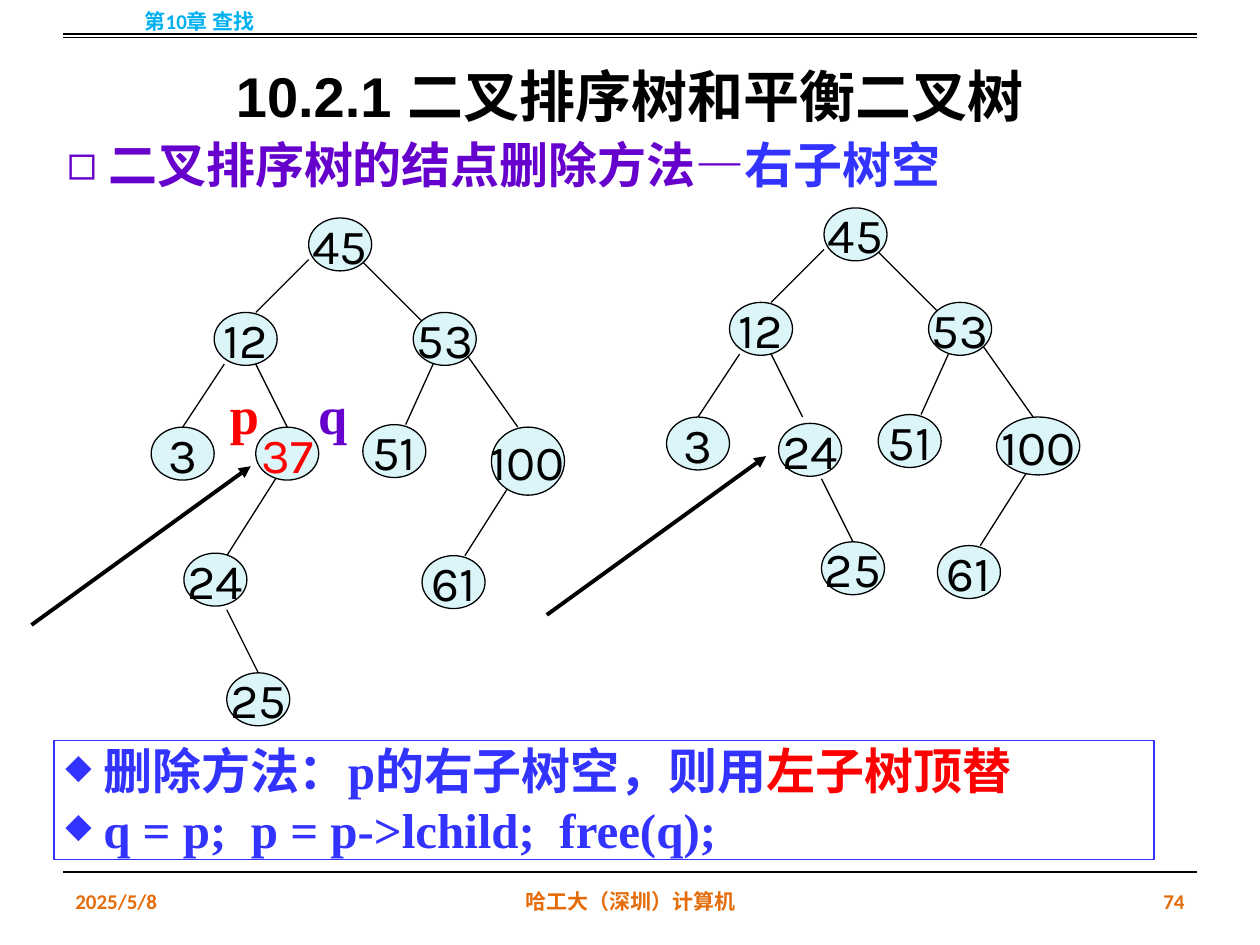
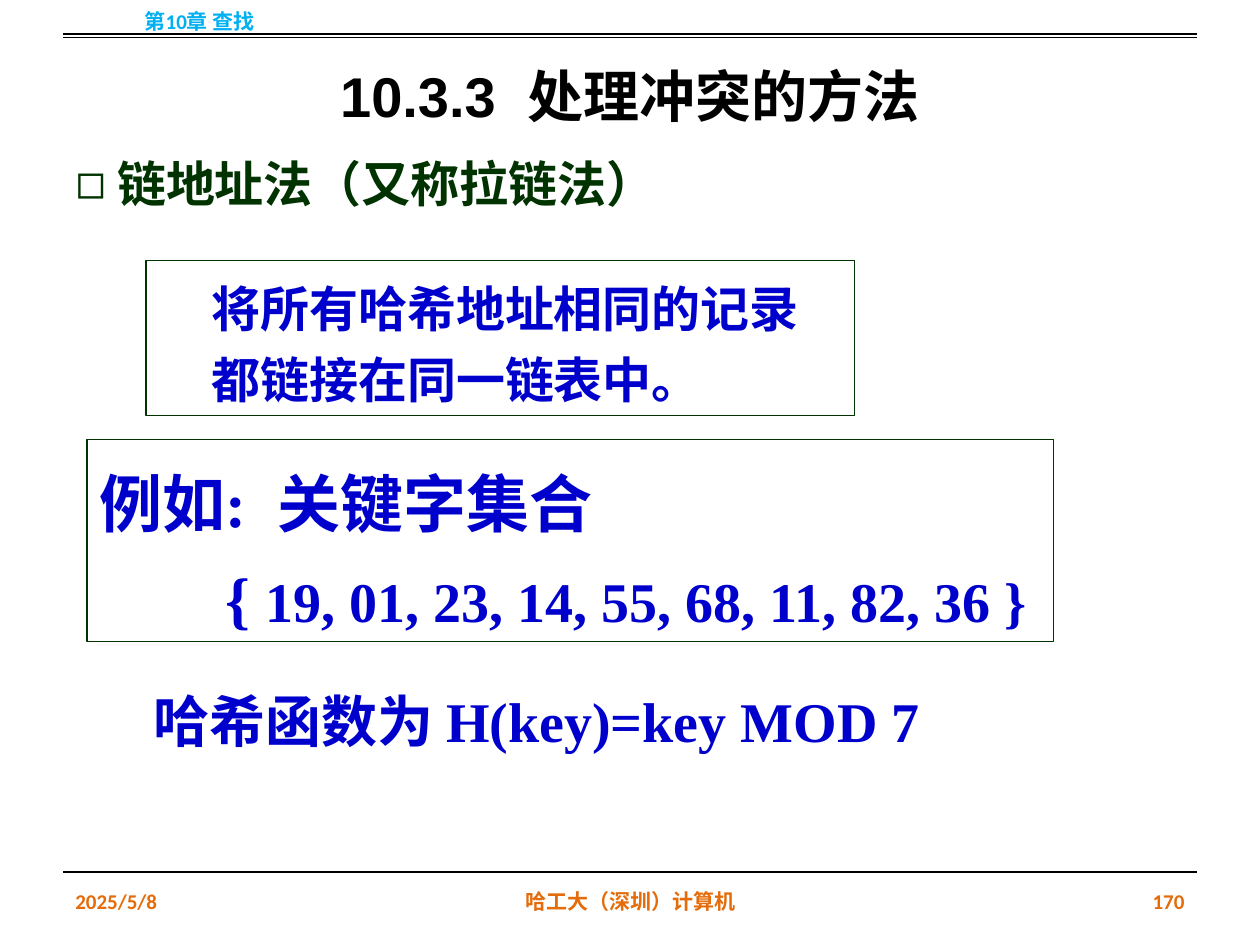
from lxml import etree
from pptx import Presentation
from pptx.dml.color import RGBColor
from pptx.enum.shapes import MSO_CONNECTOR, MSO_SHAPE
from pptx.enum.text import MSO_ANCHOR, MSO_AUTO_SIZE, PP_ALIGN
from pptx.oxml.ns import qn
from pptx.util import Inches, Pt

LEFT, CENTER, RIGHT = PP_ALIGN.LEFT, PP_ALIGN.CENTER, PP_ALIGN.RIGHT
TOP, MIDDLE = MSO_ANCHOR.TOP, MSO_ANCHOR.MIDDLE
OVAL, RECT = MSO_SHAPE.OVAL, MSO_SHAPE.RECTANGLE

BLACK, RED, BLUE, PURPLE = "000000", "FF0000", "3333FF", "6600CC"
NAVY, GREEN, ORANGE, SKY, PALE = "0000CC", "003300", "E46C0A", "00B0F0", "DBF5F9"
SERIF, SANS, SMALL, NODE = "Times New Roman", "Arial", "Calibri", "Karla"

# Bullets: character, percent of the text size, hanging width
SQUARE = ("◻", 100, 0.33)
DIAMOND = ("◆", 70, 0.3)

# Shared frame: rule heights, then header and footer texts
RULES = [0.27, 0.3, 6.92]
HEADER = ("第10章 查找", (0, -0.03, 3.17, 0.4), CENTER, SKY)
FOOTERS = [
    ("2025/5/8", (0.5, 6.95, 2.33, 0.4), LEFT, ORANGE),
    ("哈工大（深圳）计算机", (3.42, 6.95, 3.17, 0.4), CENTER, ORANGE),
]
NUMBER_AT = (7.17, 6.95, 2.33, 0.4)

# Deletion slide
DELETE_TITLE = "10.2.1 二叉排序树和平衡二叉树"
DELETE_TOPIC = [["二叉排序树的结点删除方法—", ("右子树空", {"color": BLUE})]]
DELETE_STEPS = [
    ["删除方法：p的右子树空，则用", ("左子树顶替", {"color": RED})],
    ["q = p;  p = p->lchild;  free(q);"],
]
POINTERS = [("p", 1.72, RED), ("q", 2.42, PURPLE)]

# Both trees share these parts; positions are those of the tree before deletion
NODE_SIZE = (0.5, 0.42)
SHARED_NODES = [
    ("45", 2.45, 1.73), ("12", 1.7, 2.48), ("53", 3.28, 2.48),
    ("3", 1.2, 3.39), ("51", 2.88, 3.37), ("61", 3.35, 4.41),
]
SHARED_EDGES = [
    (2.45, 2.06, 2.03, 2.48), (2.86, 2.06, 3.36, 2.56),
    (1.78, 2.89, 1.45, 3.39), (2.03, 2.89, 2.28, 3.39),
    (3.7, 2.81, 4.11, 3.39), (3.46, 2.84, 3.22, 3.37),
    (4.09, 3.78, 3.69, 4.41),
]
ARROW = (0.25, 4.96, 1.99, 3.7)
TREES = [
    {
        "shift": (0, 0),
        "nodes": [("37", 2.03, 3.39), ("24", 1.46, 4.39), ("25", 1.8, 5.34),
                  ("100", 3.9, 3.39, 0.58, 0.54)],
        "edges": [(2.2, 3.78, 1.8, 4.41), (1.8, 4.84, 2.05, 5.34)],
    },
    {
        "shift": (4.09, -0.08),
        "nodes": [("24", 2.09, 3.44), ("25", 2.43, 4.38),
                  ("100", 3.82, 3.39, 0.66, 0.46)],
        "edges": [(2.43, 3.88, 2.68, 4.38)],
    },
]
DELETED = "37"

# Chaining slide
CHAIN_TITLE = "10.3.3  处理冲突的方法"
CHAIN_TOPIC = [["链地址法（又称拉链法）"]]
CHAIN_RULE = [["将所有哈希地址相同的记录"], ["都链接在同一链表中。"]]
KEY_SET = [
    ["例如:  关键字集合"],
    ["{ ", ("19, 01, 23, 14, 55, 68, 11, 82, 36 }", {"size": 32})],
]
HASH_FUNCTION = [["哈希函数为 H(key)=key MOD 7"]]


def rgb(color):
    return RGBColor.from_string(color)


def place(sp, at):
    sp.left, sp.top, sp.width, sp.height = map(Inches, at)


def set_paragraph(p, indent, bullet):
    """Set the left margin, hanging a bullet in it if there is one."""
    pPr = p._p.get_or_add_pPr()
    char, percent, hang = bullet or (None, None, 0)
    pPr.set("marL", str(Inches(indent)))
    pPr.set("indent", str(Inches(-hang)))
    if char:
        etree.SubElement(pPr, qn("a:buSzPct")).set("val", str(percent * 1000))
        etree.SubElement(pPr, qn("a:buChar")).set("char", char)


def write(sp, paragraphs, font=SERIF, size=28, color=BLACK, bold=True, align=LEFT,
          anchor=TOP, wrap=True, spacing=None, after=0, indents=(0,), bullet=None,
          inset=None):
    """Fill sp; a run is a string or (string, overrides of size and color)."""
    tf = sp.text_frame
    tf.auto_size = MSO_AUTO_SIZE.NONE
    tf.word_wrap, tf.vertical_anchor = wrap, anchor
    if inset is not None:
        tf.margin_left = tf.margin_right = Inches(inset)
        tf.margin_top = tf.margin_bottom = Inches(inset)
    for i, runs in enumerate(paragraphs):
        p = tf.add_paragraph() if i else tf.paragraphs[0]
        set_paragraph(p, indents[i % len(indents)], bullet)
        p.alignment = align
        p.space_before, p.space_after = Pt(0), Pt(after)
        if spacing:
            p.line_spacing = spacing
        for run in runs:
            text, own = (run, {}) if isinstance(run, str) else run
            r = p.add_run()
            r.text = text
            r.font.name, r.font.bold = font, bold
            r.font.size = Pt(own.get("size", size))
            r.font.color.rgb = rgb(own.get("color", color))


def add_text(s, at, paragraphs, **fmt):
    write(s.shapes.add_textbox(*map(Inches, at)), paragraphs, **fmt)


def add_box(s, kind, at, paragraphs, line, fill=None, **fmt):
    sp = s.shapes.add_shape(kind, *map(Inches, at))
    sp.shadow.inherit = False
    if fill:
        sp.fill.solid()
        sp.fill.fore_color.rgb = rgb(fill)
    else:
        sp.fill.background()
    sp.line.color.rgb, sp.line.width = rgb(line), Pt(0.75)
    write(sp, paragraphs, **fmt)


def add_line(s, ends, width=0.75, arrow=False):
    c = s.shapes.add_connector(MSO_CONNECTOR.STRAIGHT, *map(Inches, ends))
    c.line.color.rgb, c.line.width = rgb(BLACK), Pt(width)
    spPr = c._element.spPr
    if arrow:
        etree.SubElement(spPr.find(qn("a:ln")), qn("a:tailEnd")).set("type", "triangle")
    etree.SubElement(spPr, qn("a:effectLst"))


def add_slide(prs, title, number, topic, topic_at, color):
    s = prs.slides.add_slide(prs.slide_layouts[1])
    heading, body = s.placeholders
    place(heading, (0.5, 0, 9, 1.25))
    write(heading, [[title]], font=SANS, size=32, align=CENTER, anchor=MIDDLE,
          spacing=1.5, after=1.6)
    place(body, topic_at)
    write(body, topic, color=color, indents=(0.33,), bullet=SQUARE)
    for y in RULES:
        add_line(s, (0.5, y, 9.5, y))
    for text, at, align, ink in [HEADER, *FOOTERS, (number, NUMBER_AT, RIGHT, ORANGE)]:
        add_text(s, at, [[text]], font=SMALL, size=12, color=ink, align=align,
                 anchor=MIDDLE)
    return s


def add_tree(s, shift, nodes, edges):
    dx, dy = shift

    def moved(ends):
        x1, y1, x2, y2 = ends
        return x1 + dx, y1 + dy, x2 + dx, y2 + dy

    for ends in SHARED_EDGES + edges:
        add_line(s, moved(ends))
    add_line(s, moved(ARROW), width=2.25, arrow=True)
    for key, x, y, *size in SHARED_NODES + nodes:
        add_box(s, OVAL, (x + dx, y + dy, *(size or NODE_SIZE)), [[key]], BLACK, PALE,
                font=NODE, bold=False, color=RED if key == DELETED else BLACK,
                align=CENTER, anchor=MIDDLE, wrap=False)


def build_deletion(prs):
    s = add_slide(prs, DELETE_TITLE, "74", DELETE_TOPIC, (0.43, 1.02, 7.93, 0.57), PURPLE)
    for tree in TREES:
        add_tree(s, **tree)
    for name, x, color in POINTERS:
        add_text(s, (x, 2.98, 0.44, 0.6), [[name]], size=30, color=color,
                 align=CENTER, wrap=False)
    add_box(s, RECT, (0.43, 5.88, 8.73, 0.94), DELETE_STEPS, BLUE, color=BLUE,
            indents=(0.39,), bullet=DIAMOND, inset=0)


def build_chaining(prs):
    s = add_slide(prs, CHAIN_TITLE, "170", CHAIN_TOPIC, (0.5, 1.17, 7.25, 0.57), GREEN)
    add_box(s, RECT, (1.16, 2.07, 5.62, 1.23), CHAIN_RULE, GREEN, color=NAVY,
            spacing=1.2, indents=(0.42,))
    add_box(s, RECT, (0.69, 3.49, 7.67, 1.6), KEY_SET, GREEN, size=36, color=NAVY,
            spacing=1.25, indents=(0, 1))
    add_text(s, (0.69, 5.4, 7.14, 0.64), HASH_FUNCTION, size=32, color=NAVY, align=CENTER)


def main():
    prs = Presentation()
    prs.slide_width, prs.slide_height = Inches(10), Inches(7.5)
    build_deletion(prs)
    build_chaining(prs)
    prs.save("out.pptx")


if __name__ == "__main__":
    main()
